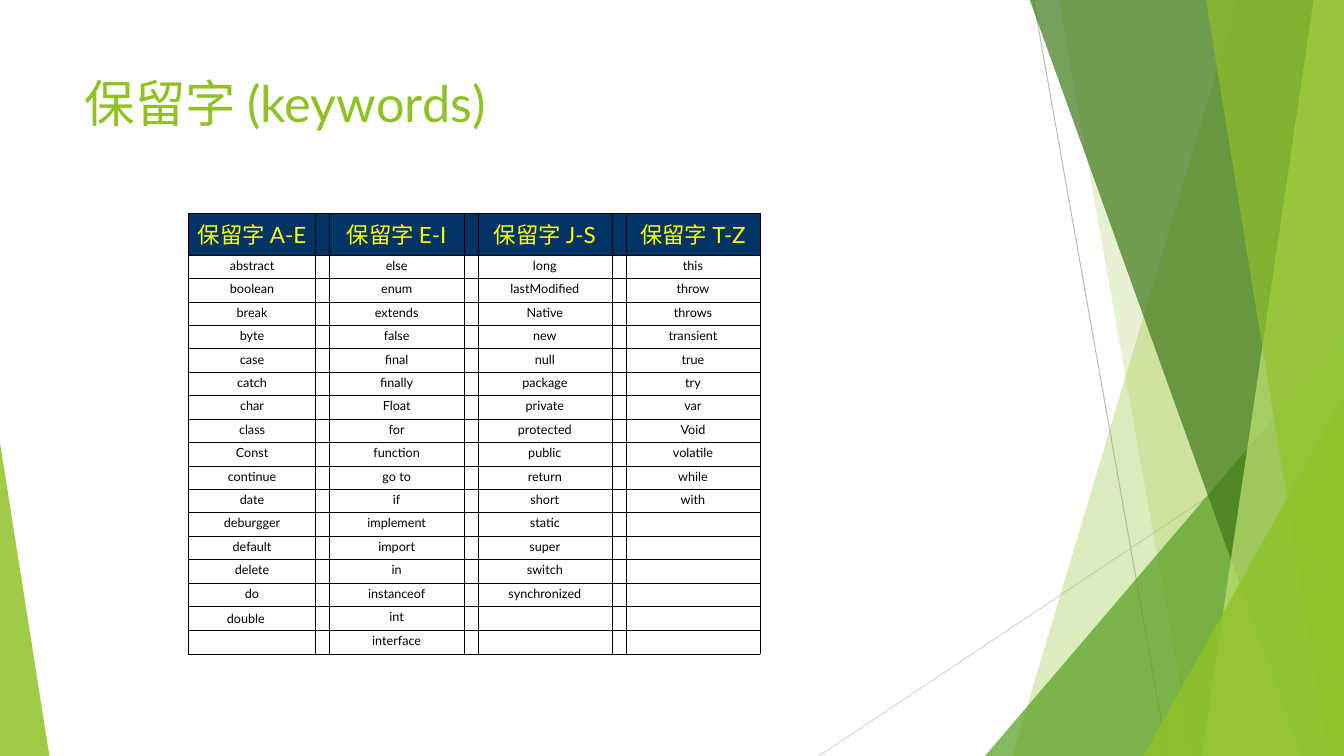
from itertools import zip_longest

from lxml import etree
from pptx import Presentation
from pptx.dml.color import RGBColor
from pptx.enum import shapes, text
from pptx.oxml.ns import qn
from pptx.util import Inches, Pt

FONT = "Lato"
GREEN, NAVY, YELLOW, BLACK = "90C226", "003366", "FFFF00", "000000"
TOP, BOTTOM, RIGHT = -0.01, 7.5, 13.33

TITLE = "保留字 (keywords)"
KEYWORDS = {
    "保留字 A-E": ["abstract", "boolean", "break", "byte", "case", "catch", "char", "class",
                "Const", "continue", "date", "deburgger", "default", "delete", "do", "double\u3000"],
    "保留字 E-I": ["else", "enum", "extends", "false", "final", "finally", "Float", "for",
                "function", "go to", "if", "implement", "import", "in", "instanceof", "int",
                "interface"],
    "保留字 J-S": ["long", "lastModified", "Native", "new", "null", "package", "private",
                "protected", "public", "return", "short", "static", "super", "switch",
                "synchronized"],
    "保留字 T-Z": ["this", "throw", "throws", "transient", "true", "try", "var", "Void",
                "volatile", "while", "with"],
}
LINES = [((10.25, 0), (11.58, 7.5), "BFBFBF"), ((13.33, 4.03), (8.12, 7.5), "D9D9D9")]
# Bands reach the right edge: (top left x, bottom left x, colour, opacity %)
# Triangles stand on the bottom edge: (left, top, width, apex, colour, opacity %)
FACETS = [
    ("band", 12.28, 10.04, GREEN, 30),
    ("band", 10.5, 11.83, GREEN, 20),
    ("triangle", 9.77, 3.33, 3.56, 1, "54A021", 72),
    ("band", 10.21, 12.91, "3F7819", 70),
    ("band", 13.03, 11.92, "C0E474", 70),
    ("band", 11.96, 13.18, GREEN, 65),
    ("triangle", 11.34, 3.93, 1.99, 1, GREEN, 80),
    ("triangle", 0, 4.39, 0.49, 0, GREEN, 85),
]


def rgb(value):
    return RGBColor.from_string(value)


def style_font(font, size, color):
    font.name, font.size, font.color.rgb = FONT, Pt(size), rgb(color)


def paint(shape, color, opacity):
    shape.shadow.inherit = False
    shape.line.fill.background()
    shape.fill.solid()
    shape.fill.fore_color.rgb = rgb(color)
    tint = shape.fill._xPr.find(".//" + qn("a:srgbClr"))
    etree.SubElement(tint, qn("a:alpha")).set("val", str(opacity * 1000))


def add_band(top_x, bottom_x):
    points = [(top_x, TOP), (RIGHT, TOP), (RIGHT, BOTTOM), (bottom_x, BOTTOM)]
    corners = [(Inches(x), Inches(y)) for x, y in points]
    builder = page.shapes.build_freeform(*corners[0])
    builder.add_line_segments(corners[1:], close=True)
    return builder.convert_to_shape()


def add_triangle(left, top, width, apex):
    triangle = page.shapes.add_shape(
        shapes.MSO_SHAPE.ISOSCELES_TRIANGLE,
        Inches(left), Inches(top), Inches(width), Inches(BOTTOM - top))
    triangle.adjustments[0] = apex
    return triangle


def border(cell):
    properties = cell._tc.get_or_add_tcPr()
    for side in ("lnL", "lnR", "lnT", "lnB"):
        edge = etree.SubElement(properties, qn("a:" + side), w=str(Pt(0.25)))
        fill = etree.SubElement(edge, qn("a:solidFill"))
        etree.SubElement(fill, qn("a:srgbClr"), val=BLACK)


def fill_cell(cell, words, header):
    border(cell)
    cell.margin_left = cell.margin_right = Inches(0.05)
    cell.margin_top = cell.margin_bottom = Inches(0.03)
    if header:
        cell.fill.solid()
        cell.fill.fore_color.rgb = rgb(NAVY)
        cell.vertical_anchor = text.MSO_ANCHOR.MIDDLE
    else:
        cell.fill.background()
    para = cell.text_frame.paragraphs[0]
    para.alignment = text.PP_ALIGN.CENTER
    if words:
        para.text = words
        style_font(para.font, 16 if header else 9, YELLOW if header else BLACK)
    else:
        # Small end mark keeps empty rows low
        etree.SubElement(para._p, qn("a:endParaRPr"), sz="900")


deck = Presentation()
deck.slide_width, deck.slide_height = Inches(13.33), Inches(7.5)
page = deck.slides.add_slide(deck.slide_layouts[5])

# Backdrop of lines and translucent facets
for start, end, color in LINES:
    line = page.shapes.add_connector(
        shapes.MSO_CONNECTOR.STRAIGHT, *(Inches(v) for v in start + end))
    line.line.color.rgb = rgb(color)
    line.line.width = Pt(0.75)
    etree.SubElement(line._element.spPr, qn("a:effectLst"))
for kind, *place, color, opacity in FACETS:
    facet = add_band(*place) if kind == "band" else add_triangle(*place)
    paint(facet, color, opacity)

# Title
title = page.shapes.title
title.left, title.top, title.width, title.height = map(Inches, (0.74, 0.67, 9.4, 1.44))
frame = title.text_frame
frame.text = TITLE
frame.word_wrap = True
frame.auto_size = text.MSO_AUTO_SIZE.NONE
frame.vertical_anchor = text.MSO_ANCHOR.TOP
frame.paragraphs[0].alignment = text.PP_ALIGN.LEFT
style_font(frame.paragraphs[0].font, 36, GREEN)

# Keyword table: word columns separated by narrow gutters
rows = [list(KEYWORDS), *zip_longest(*KEYWORDS.values(), fillvalue="")]
widths = [1.26] + [0.13, 1.33] * (len(KEYWORDS) - 1)
heights = [0.42] + [0.2325] * (len(rows) - 1)
table = page.shapes.add_table(
    len(rows), len(widths), Inches(1.87), Inches(2.11),
    Inches(sum(widths)), Inches(sum(heights))).table
table.first_row = table.horz_banding = False
for column, width in zip(table.columns, widths):
    column.width = Inches(width)
for r, (row, height) in enumerate(zip(rows, heights)):
    table.rows[r].height = Inches(height)
    for c in range(len(widths)):
        fill_cell(table.cell(r, c), "" if c % 2 else row[c // 2], r == 0)

deck.save("out.pptx")
